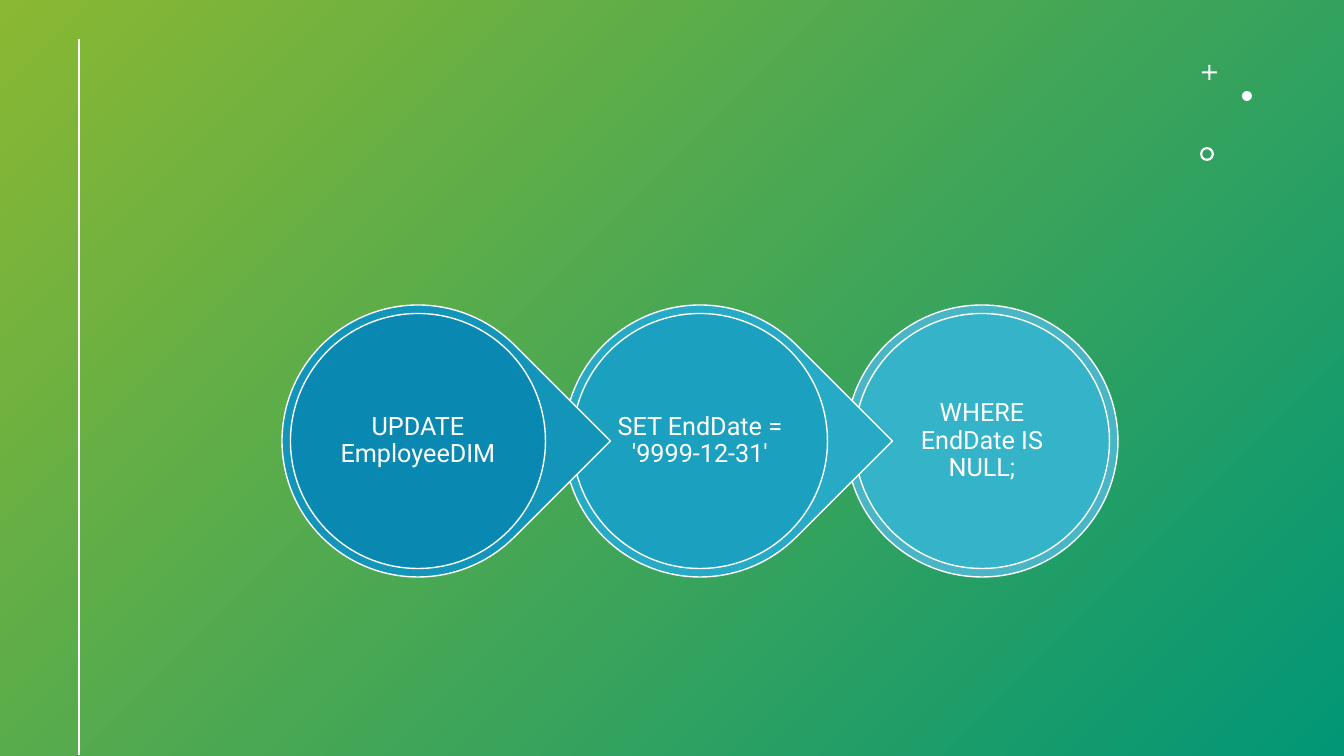
"""Build a slide with three linked circles that spell out an SQL update."""
from pptx import Presentation
from pptx import util as u
from pptx.dml.color import RGBColor
from pptx.enum import shapes, text
from pptx.oxml.ns import qn
from lxml import etree

COLORS = {
    "white": "FFFFFF", "lime": "8AB833", "teal": "029676",
    "outer_1": "1295B9", "inner_1": "0989B1",
    "outer_2": "27AAC5", "inner_2": "1CA0C0",
    "outer_3": "4AB5C4", "inner_3": "34B3C9",
}
KIND = shapes.MSO_SHAPE
STEPS = [
    ("UPDATE EmployeeDIM", KIND.TEAR, "outer_1", "inner_1"),
    ("SET EndDate = '9999-12-31'", KIND.TEAR, "outer_2", "inner_2"),
    ("WHERE EndDate IS NULL;", KIND.OVAL, "outer_3", "inner_3"),
]
ORNAMENTS = [
    (KIND.CROSS, 1202, 65, 15, 0.43),
    (KIND.OVAL, 1242, 91, 10, None),
    (KIND.DONUT, 1200, 147, 14, 0.16),
]
SLIDE_WIDTH, SLIDE_HEIGHT = 1344, 756
FIRST_CENTER, CENTER_Y, STEP_PITCH = 418, 441, 282
OUTER_SIZE, INNER_SIZE, LABEL_SIZE = 272, 255, 182


def px(length):
    return u.Emu(round(length * 914400 / 100.8))


def color(name):
    return RGBColor.from_string(COLORS[name])


def add_filled(slide, kind, left, top, width, height, fill=None, line=None):
    shape = slide.shapes.add_shape(kind, px(left), px(top), px(width), px(height))
    shape.shadow.inherit = False
    if fill:
        shape.fill.solid()
        shape.fill.fore_color.rgb = color(fill)
    if line:
        shape.line.color.rgb = color(line)
        shape.line.width = u.Pt(1)
    else:
        shape.line.fill.background()
    return shape


def add_circle(slide, kind, center, size, fill):
    return add_filled(slide, kind, center - size / 2, CENTER_Y - size / 2,
                      size, size, fill, "white")


def add_label(slide, words, center, size=18, font="Roboto", fill="white"):
    box = slide.shapes.add_textbox(px(center - LABEL_SIZE / 2), px(CENTER_Y - LABEL_SIZE / 2),
                                   px(LABEL_SIZE), px(LABEL_SIZE))
    frame = box.text_frame
    frame.word_wrap = True
    frame.vertical_anchor = text.MSO_ANCHOR.MIDDLE
    frame.margin_left = frame.margin_right = px(3)
    frame.margin_top = frame.margin_bottom = px(3)
    paragraph = frame.paragraphs[0]
    paragraph.alignment = text.PP_ALIGN.CENTER
    paragraph.line_spacing = 0.9
    run = paragraph.add_run()
    run.text = words
    run.font.size = u.Pt(size)
    run.font.name = font
    run.font.color.rgb = color(fill)


def add_backdrop(slide):
    backdrop = add_filled(slide, KIND.RECTANGLE, 0, 0, SLIDE_WIDTH, SLIDE_HEIGHT)
    backdrop.fill.gradient()
    backdrop.fill.gradient_angle = 315
    for stop, name in zip(backdrop.fill.gradient_stops, ("lime", "teal")):
        stop.color.rgb = color(name)

    rule = slide.shapes.add_connector(shapes.MSO_CONNECTOR.STRAIGHT,
                                      px(79), px(39), px(79), px(755))
    rule.line.color.rgb = color("white")
    rule.line.width = u.Pt(2)
    etree.SubElement(rule._element.spPr, qn("a:effectLst"))

    for kind, left, top, size, adjustment in ORNAMENTS:
        ornament = add_filled(slide, kind, left, top, size, size, "white")
        if adjustment:
            ornament.adjustments[0] = adjustment


def add_steps(slide):
    for index, (words, kind, outer, inner) in reversed(list(enumerate(STEPS))):
        center = FIRST_CENTER + index * STEP_PITCH
        rim = add_circle(slide, kind, center, OUTER_SIZE, outer)
        if kind == KIND.TEAR:
            rim.rotation = 45
        add_circle(slide, KIND.OVAL, center, INNER_SIZE, inner)
        add_label(slide, words, center)


def main():
    presentation = Presentation()
    presentation.slide_width = px(SLIDE_WIDTH)
    presentation.slide_height = px(SLIDE_HEIGHT)
    slide = presentation.slides.add_slide(presentation.slide_layouts[6])
    add_backdrop(slide)
    add_steps(slide)
    presentation.save("out.pptx")


if __name__ == "__main__":
    main()
